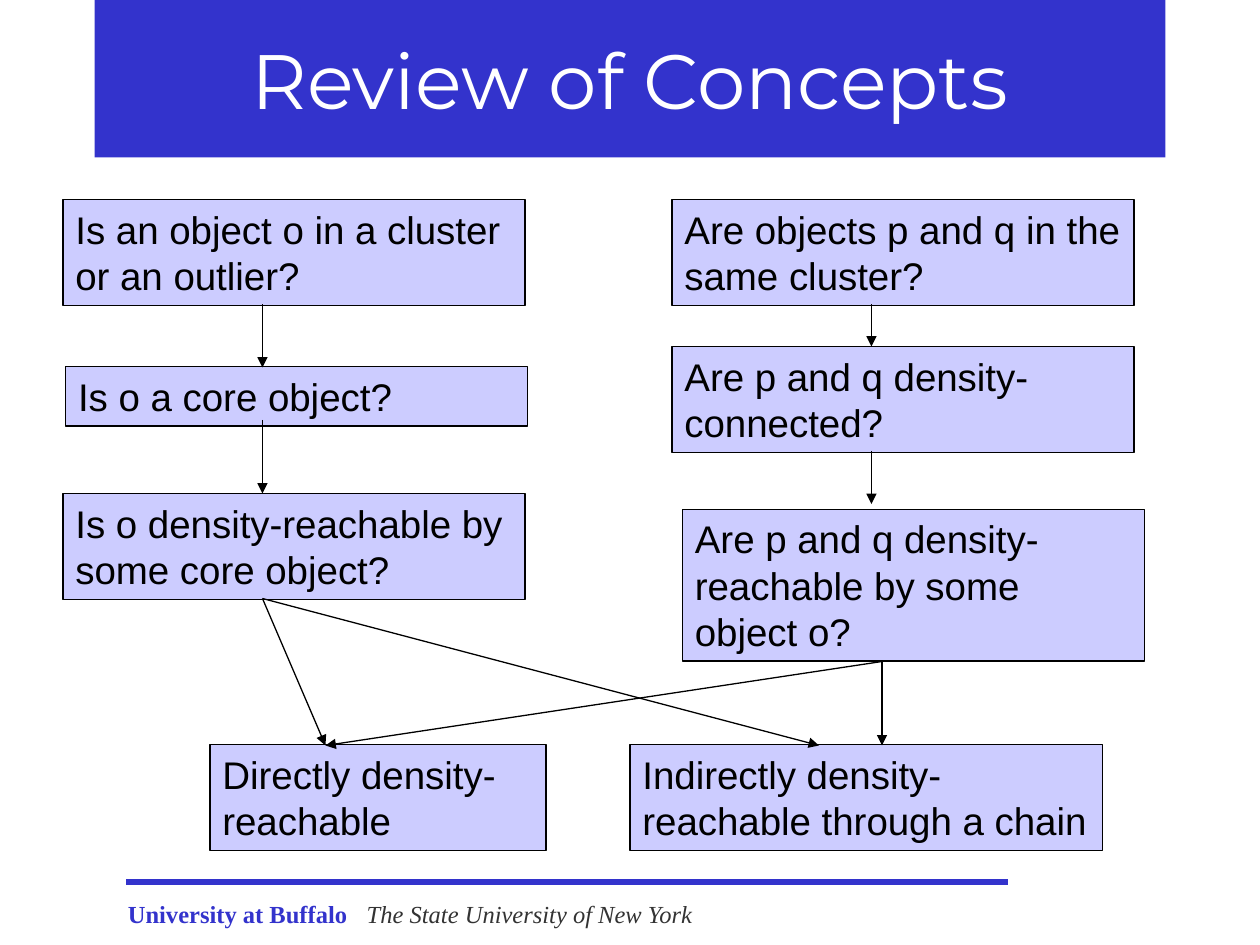
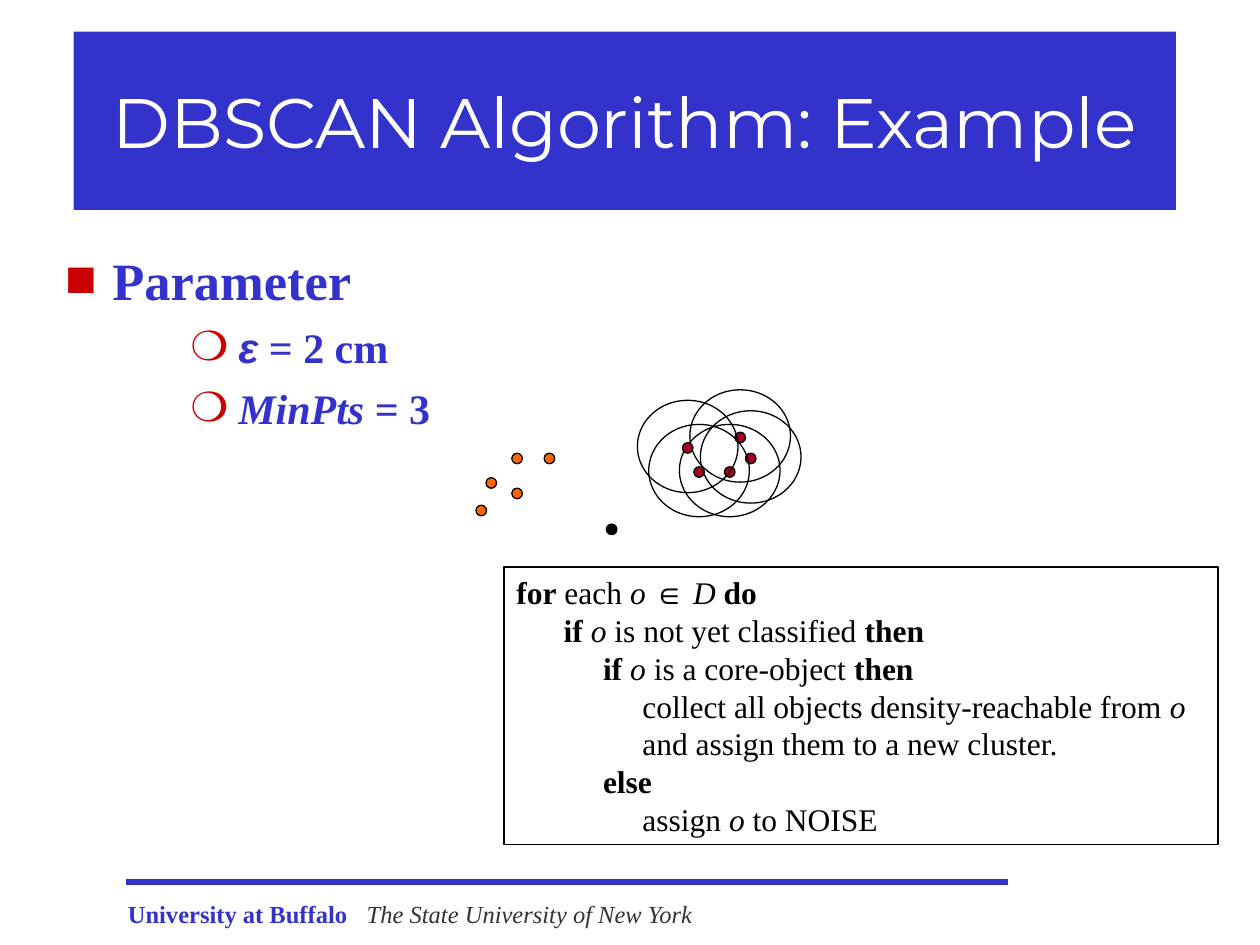
from pptx import Presentation
from pptx.dml.color import RGBColor
from pptx.enum.shapes import MSO_CONNECTOR, MSO_SHAPE
from pptx.enum.text import MSO_ANCHOR, MSO_AUTO_SIZE, PP_ALIGN
from pptx.oxml.ns import qn
from pptx.util import Pt
from lxml.etree import SubElement

# Shared look
BLUE, LILAC, RED = "3333CC", "CCCCFF", "CC0000"
BLACK, WHITE, GREY = "000000", "FFFFFF", "333333"
ORANGE, WINE = "FF6600", "A50021"
SANS, SERIF, HEAD = "Arial", "Times New Roman", "Montserrat"
LEAD = 1.2  # line height per point of text size


def color(code):
    return RGBColor.from_string(code)


def place(shape, left, top, width, height):
    shape.left, shape.top = Pt(left), Pt(top)
    shape.width, shape.height = Pt(width), Pt(height)


def style(font, name, size, code, bold=False, italic=False):
    font.name, font.size = name, Pt(size)
    font.bold, font.italic = bold, italic
    font.color.rgb = color(code)


def write(para, spans, size, code, bold=False):
    """Add (text, marks) spans; marks: b bold, i italic, a sans face."""
    para.line_spacing = Pt(size * LEAD)
    for text, marks in spans:
        run = para.add_run()
        run.text = text
        style(run.font, SANS if "a" in marks else SERIF, size, code,
              bold or "b" in marks, "i" in marks)


def indent(para, left, hang=0):
    props = para._p.get_or_add_pPr()
    props.set("marL", str(Pt(left)))
    props.set("indent", str(-Pt(hang)))
    return props


def bullet(para, mark, left, hang):
    props = indent(para, left, hang)
    tint = SubElement(props, qn("a:buClr"))
    SubElement(tint, qn("a:srgbClr"), val=RED)
    SubElement(props, qn("a:buFont"), typeface=SERIF)
    SubElement(props, qn("a:buChar"), char=mark)


def add_title(slide, text, size, *area):
    title = slide.shapes.title
    place(title, *area)
    title.fill.solid()
    title.fill.fore_color.rgb = color(BLUE)
    frame = title.text_frame
    frame.text = text
    frame.auto_size = MSO_AUTO_SIZE.NONE
    frame.vertical_anchor = MSO_ANCHOR.MIDDLE
    para = frame.paragraphs[0]
    para.alignment = PP_ALIGN.CENTER
    style(para.runs[0].font, HEAD, size, WHITE)


def add_line(slide, start, end, code=BLACK, width=0.75, arrow=True):
    line = slide.shapes.add_connector(
        MSO_CONNECTOR.STRAIGHT, *[Pt(v) for v in (*start, *end)])
    line.line.color.rgb = color(code)
    line.line.width = Pt(width)
    if arrow:
        SubElement(line.line._get_or_add_ln(), qn("a:tailEnd"),
                   type="triangle")
    SubElement(line._element.spPr, qn("a:effectLst"))


def add_form(slide, kind, area, fill=None):
    form = slide.shapes.add_shape(kind, *[Pt(v) for v in area])
    form.shadow.inherit = False
    if fill:
        form.fill.solid()
        form.fill.fore_color.rgb = color(fill)
    else:
        form.fill.background()
    form.line.color.rgb = color(BLACK)
    form.line.width = Pt(0.75)
    return form


def set_frame(form):
    frame = form.text_frame
    frame.word_wrap = True
    frame.vertical_anchor = MSO_ANCHOR.TOP
    frame.paragraphs[0].alignment = PP_ALIGN.LEFT
    return frame


def add_box(slide, text, left, top, width=264, rows=2):
    """Flow chart box, as high as its rows of text."""
    size = 22
    area = (left, top, width, rows * size * LEAD + 7.6)
    frame = set_frame(add_form(slide, MSO_SHAPE.RECTANGLE, area, LILAC))
    frame.text = text
    para = frame.paragraphs[0]
    para.line_spacing = Pt(size * LEAD)
    style(para.runs[0].font, SANS, size, BLACK)


def add_dot(slide, left, top, fill):
    add_form(slide, MSO_SHAPE.OVAL, (left, top, 6, 6), fill)


def add_footer(slide):
    add_line(slide, (72, 504), (576, 504), BLUE, 3, False)
    for text, left, width, code, bold in (
            ("University at Buffalo", 66, 144, BLUE, True),
            ("The State University of New York", 202.5, 210, GREY, False)):
        box = slide.shapes.add_textbox(Pt(left), Pt(510), Pt(width), Pt(24.5))
        frame = set_frame(box)
        frame.text = text
        style(frame.paragraphs[0].runs[0].font, SERIF, 14, code,
              bold, not bold)


def new_slide(deck, layout, title, size, *area):
    slide = deck.slides.add_slide(deck.slide_layouts[layout])
    add_footer(slide)
    add_title(slide, title, size, *area)
    return slide


def draw_review(deck):
    slide = new_slide(deck, 5, "Review of Concepts", 44, 54, 0, 612, 90)

    # Questions on the right, answers below, questions on the left
    add_box(slide, "Are objects p and q in the same cluster?", 384, 114)
    add_box(slide, "Are p and q density-connected?", 384, 198)
    add_box(slide, "Are p and q density-reachable by some object o?",
            390, 291, rows=3)
    add_box(slide, "Directly density-reachable", 120, 425.5, 192)
    add_box(slide, "Indirectly density-reachable through a chain",
            360, 425.5, 270)
    add_box(slide, "Is an object o in a cluster or an outlier?", 36, 114)
    add_box(slide, "Is o a core object?", 37.5, 209.5, rows=1)
    add_box(slide, "Is o density-reachable by some core object?", 36, 282)

    # Arrows down each column
    for x, top, end in ((150, 174, 210), (150, 240, 282),
                        (498, 174, 198), (498, 258, 288)):
        add_line(slide, (x, top), (x, end))
    # Arrows from both last questions to both answers
    direct = (186, 426)
    for start, chain in (((150, 342), 468), ((504, 378), 504)):
        add_line(slide, start, direct)
        add_line(slide, start, (chain, 426))


def add_params(slide):
    body = slide.placeholders[1]
    place(body, 30, 138, 612, 324)
    frame = body.text_frame
    frame.auto_size = MSO_AUTO_SIZE.NONE
    head = frame.paragraphs[0]
    bullet(head, "■", 27, 27)
    head.space_before = Pt(0)
    write(head, [("Parameter", "")], 30, BLUE, True)
    for spans in ([("ε", "ai"), (" = 2 cm", "")],
                  [("MinPts", "i"), (" = 3", "")]):
        para = frame.add_paragraph()
        para.level = 2
        bullet(para, "❍", 99, 27)
        para.space_before = Pt(6)
        write(para, spans, 24, BLUE, True)


def add_code(slide):
    box = add_form(slide, MSO_SHAPE.RECTANGLE, (288, 324, 408, 158.5))
    frame = set_frame(box)
    steps = (0, 27, 49.5, 72)
    rows = (
        (0, [("for", "b"), (" each ", ""), ("o ", "i"), ("∈", "a"),
             (" D ", "i"), ("do", "b")]),
        (1, [("if ", "b"), ("o", "i"), (" is not yet classified ", ""),
             ("then", "b")]),
        (2, [("if ", "b"), ("o", "i"), (" is a core-object ", ""),
             ("then", "b")]),
        (3, [("collect all objects density-reachable from ", ""),
             ("o", "i")]),
        (3, [("and assign them to a new cluster.", "")]),
        (2, [("else", "b")]),
        (3, [("assign ", ""), ("o", "i"), (" to NOISE", "")]),
    )
    for i, (depth, spans) in enumerate(rows):
        para = frame.add_paragraph() if i else frame.paragraphs[0]
        para.alignment = PP_ALIGN.LEFT
        indent(para, steps[depth])
        write(para, spans, 18, BLACK)


def draw_example(deck):
    slide = new_slide(deck, 1, "DBSCAN Algorithm: Example", 40,
                      42, 18, 630, 102)
    add_params(slide)

    # Loose points and the noise point
    for left, top in ((272, 288.75), (292.5, 259), (311, 259),
                      (277.75, 273), (292.5, 279)):
        add_dot(slide, left, top, ORANGE)
    add_dot(slide, 346.5, 299.5, BLACK)

    # Cluster points, each in the middle of its reach
    for left, top in ((426, 259), (420, 247), (414, 266.75),
                      (396.5, 266.75), (390, 253)):
        reach = (left - 25.75, top - 24.25, 57.5, 52.75)
        add_form(slide, MSO_SHAPE.OVAL, reach)
        add_dot(slide, left, top, WINE)

    add_code(slide)


def main():
    deck = Presentation()
    deck.slide_width, deck.slide_height = Pt(720), Pt(540)
    draw_review(deck)
    draw_example(deck)
    deck.save("out.pptx")


if __name__ == "__main__":
    main()
